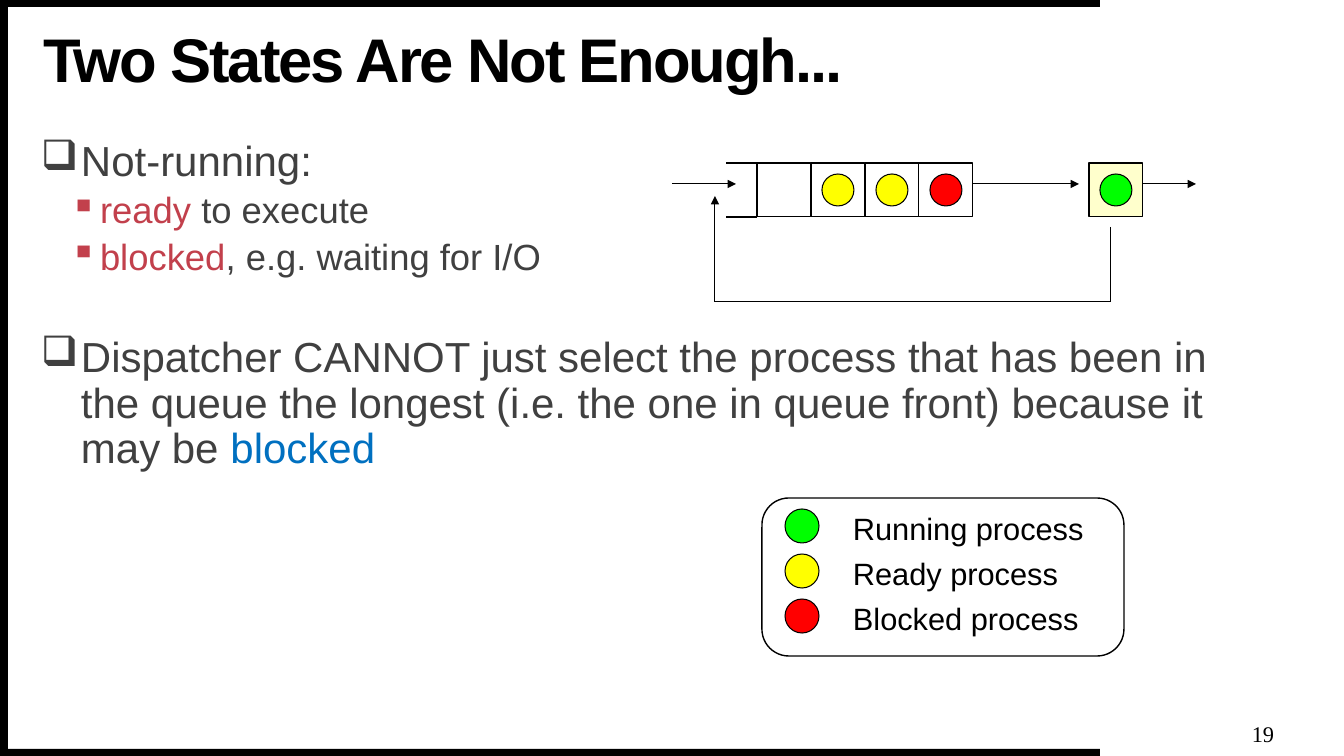
from lxml.etree import SubElement
from pptx import Presentation
from pptx.dml.color import RGBColor
from pptx.enum.shapes import MSO_CONNECTOR, MSO_SHAPE
from pptx.enum.text import MSO_ANCHOR, PP_ALIGN
from pptx.oxml.ns import qn
from pptx.util import Emu, Pt

BLACK = RGBColor(0x00, 0x00, 0x00)
WHITE = RGBColor(0xFF, 0xFF, 0xFF)
GRAY = RGBColor(0x40, 0x40, 0x40)
CRIMSON = RGBColor(0xC2, 0x40, 0x4C)
BLUE = RGBColor(0x00, 0x70, 0xC0)
CREAM = RGBColor(0xFF, 0xFF, 0xCC)
GREEN = RGBColor(0x00, 0xFF, 0x00)
YELLOW = RGBColor(0xFF, 0xFF, 0x00)
RED = RGBColor(0xFF, 0x00, 0x00)

CELL = 54
QUEUE_LEFT = 757
QUEUE_TOP = 163
CPU_LEFT = 1089
ARROW_Y = 184
LOOP_Y = 302


def px(length):
    return Emu(round(length * 914400 / 100.8))


def add_box(slide, kind, left, top, width, height, fill, line_width=0.75):
    box = slide.shapes.add_shape(kind, px(left), px(top), px(width), px(height))
    box.shadow.inherit = False
    box.fill.solid()
    box.fill.fore_color.rgb = fill
    if line_width:
        box.line.color.rgb = BLACK
        box.line.width = Pt(line_width)
    else:
        box.line.fill.background()
    return box


def add_process(slide, left, top, size, color):
    add_box(slide, MSO_SHAPE.OVAL, left, top, size, size, color)


def add_cell(slide, left, fill, process_color=None):
    """Draw one square slot, with a process centred in it if a colour is given."""
    add_box(slide, MSO_SHAPE.RECTANGLE, left, QUEUE_TOP, CELL, CELL, fill)
    if process_color is not None:
        add_process(slide, left + 11, QUEUE_TOP + 11, 32, process_color)


def add_line(slide, start, end, arrow=False, width=0.75):
    line = slide.shapes.add_connector(
        MSO_CONNECTOR.STRAIGHT, *map(px, start), *map(px, end))
    line.line.color.rgb = BLACK
    line.line.width = Pt(width)
    if arrow:
        SubElement(line.line._get_or_add_ln(), qn("a:tailEnd"), type="triangle")
    SubElement(line._element.spPr, qn("a:effectLst"))


def add_text_frame(slide, left, top, width, height, wrap=True, insets=(0, 0)):
    frame = slide.shapes.add_textbox(
        px(left), px(top), px(width), px(height)).text_frame
    frame.word_wrap = wrap
    frame.margin_left = frame.margin_right = px(insets[0])
    frame.margin_top = frame.margin_bottom = px(insets[1])
    return frame


def set_font(paragraph, size, color=BLACK, name="Arial"):
    paragraph.font.name = name
    paragraph.font.size = Pt(size)
    paragraph.font.color.rgb = color


def add_bullet(paragraph, char, color, margin, hanging):
    properties = paragraph._p.get_or_add_pPr()
    properties.set("marL", str(px(margin)))
    properties.set("indent", str(-px(hanging)))
    bullet_color = SubElement(properties, qn("a:buClr"))
    SubElement(bullet_color, qn("a:srgbClr"), val=str(color))
    SubElement(properties, qn("a:buChar"), char=char)


def add_frame_bars(slide):
    for bar in ((0, 749, 1100, 7), (0, 0, 1100, 7), (0, 0, 8, 756)):
        add_box(slide, MSO_SHAPE.RECTANGLE, *bar, BLACK, line_width=0)


def add_title(slide):
    frame = add_text_frame(slide, 43, 25, 1014, 75)
    frame.vertical_anchor = MSO_ANCHOR.MIDDLE
    title = frame.paragraphs[0]
    title.line_spacing = 0.9
    set_font(title, 44)
    title.font.bold = True
    run = title.add_run()
    run.text = "Two States Are Not Enough..."
    run._r.get_or_add_rPr().set("spc", "-150")


def add_body(slide):
    points = [
        (0, 0, [("Not-running:", GRAY)]),
        (1, 5, [("ready", CRIMSON), (" to execute", GRAY)]),
        (1, 5, [("blocked", CRIMSON), (", e.g. waiting for I/O", GRAY)]),
        (0, 42, [("Dispatcher CANNOT just select the process that has been in "
                  "the queue the longest (i.e. the one in queue front) because "
                  "it may be ", GRAY), ("blocked", BLUE)]),
    ]
    levels = [("❑", GRAY, 40, 40, 30), ("▪", CRIMSON, 59, 30, 26)]
    frame = add_text_frame(slide, 41, 140, 1179, 516)
    for index, (level, space_before, pieces) in enumerate(points):
        point = frame.add_paragraph() if index else frame.paragraphs[0]
        *bullet, size = levels[level]
        point.level = level
        add_bullet(point, *bullet)
        point.line_spacing = 0.9
        point.space_before = Pt(space_before)
        set_font(point, size, GRAY)
        for text, color in pieces:
            run = point.add_run()
            run.text = text
            run.font.color.rgb = color


def add_queue_diagram(slide):
    for index, color in enumerate((None, YELLOW, YELLOW, RED)):
        add_cell(slide, QUEUE_LEFT + index * CELL, WHITE, color)
    add_cell(slide, CPU_LEFT, CREAM, GREEN)

    for rail_y in (QUEUE_TOP, QUEUE_TOP + CELL):
        add_line(slide, (QUEUE_LEFT, rail_y), (726, rail_y), width=1)
    queue_end = QUEUE_LEFT + 4 * CELL
    for start, end in ((672, 736), (queue_end, 1079), (CPU_LEFT + CELL, 1196)):
        add_line(slide, (start, ARROW_Y), (end, ARROW_Y), arrow=True)

    add_line(slide, (1111, 227), (1111, LOOP_Y))
    add_line(slide, (1111, LOOP_Y), (715, LOOP_Y))
    add_line(slide, (715, LOOP_Y), (715, 196), arrow=True)


def add_legend(slide):
    panel = add_box(slide, MSO_SHAPE.ROUNDED_RECTANGLE,
                    762, 498, 362, 158, WHITE, line_width=1)
    panel.adjustments[0] = 0.17
    entries = (("Running process", GREEN), ("Ready process", YELLOW),
               ("Blocked process", RED))
    for index, (text, color) in enumerate(entries):
        top = 505 + index * 45
        add_process(slide, 785, top + 4, 34, color)
        label = add_text_frame(slide, 843, top, 254, 47, False, (10, 5)).paragraphs[0]
        set_font(label, 22)
        label.add_run().text = text


def add_page_number(slide):
    frame = add_text_frame(slide, 1248, 719, 30, 30)
    frame.vertical_anchor = MSO_ANCHOR.MIDDLE
    number = frame.paragraphs[0]
    number.alignment = PP_ALIGN.CENTER
    set_font(number, 16, name="Times New Roman")
    number.add_run().text = "19"


def main():
    presentation = Presentation()
    presentation.slide_width = px(1344)
    presentation.slide_height = px(756)
    slide = presentation.slides.add_slide(presentation.slide_layouts[6])
    add_frame_bars(slide)
    add_body(slide)
    add_title(slide)
    add_page_number(slide)
    add_queue_diagram(slide)
    add_legend(slide)
    presentation.save("out.pptx")


if __name__ == "__main__":
    main()
